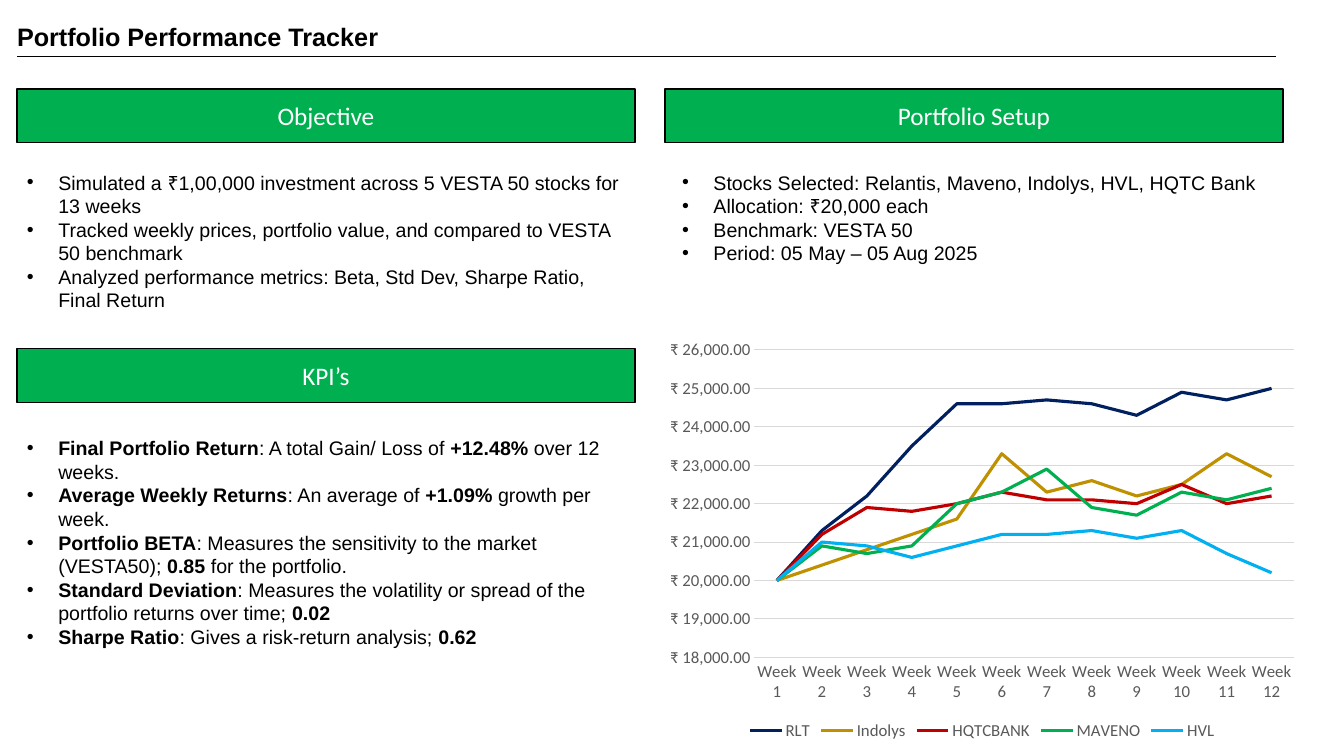
import pptx
import pptx.util
import pptx.chart.data
import pptx.dml.color
import pptx.enum.chart
import pptx.enum.shapes
import pptx.enum.text
import pptx.oxml.xmlchemy

BLACK = pptx.dml.color.RGBColor(0x00, 0x00, 0x00)
WHITE = pptx.dml.color.RGBColor(0xFF, 0xFF, 0xFF)
GREEN = pptx.dml.color.RGBColor(0x00, 0xB0, 0x50)
NAVY = pptx.dml.color.RGBColor(0x00, 0x20, 0x60)
GOLD = pptx.dml.color.RGBColor(0xBF, 0x90, 0x00)
RED = pptx.dml.color.RGBColor(0xC0, 0x00, 0x00)
SKY = pptx.dml.color.RGBColor(0x00, 0xB0, 0xF0)
GREY_TEXT = pptx.dml.color.RGBColor(0x59, 0x59, 0x59)
GREY_LINE = pptx.dml.color.RGBColor(0xD9, 0xD9, 0xD9)

LEFT, RIGHT, COLUMN_WIDTH = 0.43, 16.76, 15.57
RUPEE_FORMAT = '"₹"\\ #,##0.00'

OBJECTIVES = [
    ["Simulated a ₹1,00,000 investment across 5 VESTA 50 stocks for 13 weeks"],
    ["Tracked weekly prices, portfolio value, and compared to VESTA 50 benchmark"],
    ["Analyzed performance metrics: Beta, Std Dev, Sharpe Ratio, Final Return"],
]
SETUP = [
    ["Stocks Selected: Relantis, Maveno, Indolys, HVL, HQTC Bank"],
    ["Allocation: ₹20,000 each"],
    ["Benchmark: VESTA 50"],
    ["Period: 05 May – 05 Aug 2025"],
]
KPIS = [
    ["", "Final Portfolio Return", ": A total Gain/ Loss of ", "+12.48%", " over 12 weeks."],
    ["", "Average Weekly Returns", ": An average of ", "+1.09%", " growth per week."],
    ["", "Portfolio BETA", ": Measures the sensitivity to the market (VESTA50); ", "0.85",
     " for the portfolio."],
    ["", "Standard Deviation",
     ": Measures the volatility or spread of the portfolio returns over time; ", "0.02"],
    ["", "Sharpe Ratio", ": Gives a risk-return analysis; ", "0.62"],
]
HOLDINGS = [
    ("RLT", NAVY, [20000, 21300, 22200, 23500, 24600, 24600,
                   24700, 24600, 24300, 24900, 24700, 25000]),
    ("Indolys", GOLD, [20000, 20400, 20800, 21200, 21600, 23300,
                       22300, 22600, 22200, 22500, 23300, 22700]),
    ("HQTCBANK", RED, [20000, 21200, 21900, 21800, 22000, 22300,
                       22100, 22100, 22000, 22500, 22000, 22200]),
    ("MAVENO", GREEN, [20000, 20900, 20700, 20900, 22000, 22300,
                       22900, 21900, 21700, 22300, 22100, 22400]),
    ("HVL", SKY, [20000, 21000, 20900, 20600, 20900, 21200,
                  21200, 21300, 21100, 21300, 20700, 20200]),
]


class TrackerSlide:
    body_font = "Arial"
    accent_font = "Calibri"

    def __init__(self, slide):
        self.shapes = slide.shapes

    def box(self, *lengths):
        return [pptx.util.Cm(length) for length in lengths]

    def style(self, font, name, size, color, bold=False):
        font.name, font.size, font.bold = name, pptx.util.Pt(size), bold
        font.color.rgb = color

    def title(self, text, left, top, width, height):
        heading = self.shapes.add_textbox(*self.box(left, top, width, height))
        heading.text_frame.text = text
        self.style(heading.text_frame.paragraphs[0].runs[0].font, self.body_font, 18, BLACK, True)

    def rule(self, left, right, top):
        divider = self.shapes.add_connector(
            pptx.enum.shapes.MSO_CONNECTOR.STRAIGHT, *self.box(left, top, right, top))
        divider.line.color.rgb = BLACK
        divider.line.width = pptx.util.Pt(0.5)
        divider._element.spPr.append(pptx.oxml.xmlchemy.OxmlElement("a:effectLst"))

    def banner(self, text, left, top):
        bar = self.shapes.add_shape(pptx.enum.shapes.MSO_SHAPE.RECTANGLE,
                                    *self.box(left, top, COLUMN_WIDTH, 1.35))
        bar.shadow.inherit = False
        bar.fill.solid()
        bar.fill.fore_color.rgb = GREEN
        bar.line.color.rgb = BLACK
        bar.line.width = pptx.util.Pt(1)
        bar.text_frame.text = text
        bar.text_frame.vertical_anchor = pptx.enum.text.MSO_ANCHOR.MIDDLE
        label = bar.text_frame.paragraphs[0]
        label.alignment = pptx.enum.text.PP_ALIGN.CENTER
        self.style(label.runs[0].font, self.accent_font, 18, WHITE)

    def bullets(self, points, left, top, height):
        frame = self.shapes.add_textbox(*self.box(left, top, COLUMN_WIDTH, height)).text_frame
        frame.word_wrap = True
        indent = int(pptx.util.Cm(0.79))
        for index, pieces in enumerate(points):
            point = frame.add_paragraph() if index else frame.paragraphs[0]
            properties = point._p.get_or_add_pPr()
            properties.set("marL", str(indent))
            properties.set("indent", str(-indent))
            bullet_font = pptx.oxml.xmlchemy.OxmlElement("a:buFont")
            bullet_font.set("typeface", self.body_font)
            bullet = pptx.oxml.xmlchemy.OxmlElement("a:buChar")
            bullet.set("char", "•")
            properties.extend([bullet_font, bullet])
            for position, piece in enumerate(pieces):
                if piece:
                    run = point.add_run()
                    run.text = piece
                    self.style(run.font, self.body_font, 14, BLACK, position % 2 == 1)

    def line_chart(self, holdings, left, top, width, height):
        data = pptx.chart.data.CategoryChartData(number_format=RUPEE_FORMAT)
        data.categories = [f"Week {week}" for week in range(1, 13)]
        for name, _, values in holdings:
            data.add_series(name, values)
        chart = self.shapes.add_chart(pptx.enum.chart.XL_CHART_TYPE.LINE,
                                      *self.box(left, top, width, height), data).chart
        self.style(chart.font, self.accent_font, 12, GREY_TEXT)
        chart.has_title = False
        chart.has_legend = True
        chart.legend.position = pptx.enum.chart.XL_LEGEND_POSITION.BOTTOM
        chart.legend.include_in_layout = False
        self.style(chart.legend.font, self.accent_font, 12, GREY_TEXT)
        weeks, rupees = chart.category_axis, chart.value_axis
        for axis in (weeks, rupees):
            axis.major_tick_mark = axis.minor_tick_mark = pptx.enum.chart.XL_TICK_MARK.NONE
            self.style(axis.tick_labels.font, self.accent_font, 12, GREY_TEXT)
        rupees.minimum_scale, rupees.maximum_scale, rupees.major_unit = 18000, 26000, 1000
        rupees.tick_labels.number_format = RUPEE_FORMAT
        rupees.tick_labels.number_format_is_linked = False
        rupees.format.line.fill.background()
        for line in (weeks.format.line, rupees.major_gridlines.format.line):
            line.color.rgb = GREY_LINE
            line.width = pptx.util.Pt(0.75)
        plot = chart.plots[0]
        plot.vary_by_categories = False
        for series, (_, color, _) in zip(plot.series, holdings):
            series.smooth = False
            series.marker.style = pptx.enum.chart.XL_MARKER_STYLE.NONE
            series.format.line.color.rgb = color
            series.format.line.width = pptx.util.Pt(2.25)


def main():
    deck = pptx.Presentation()
    deck.slide_width, deck.slide_height = pptx.util.Cm(33.87), pptx.util.Cm(19.05)
    tracker = TrackerSlide(deck.slides.add_slide(deck.slide_layouts[6]))
    tracker.line_chart(HOLDINGS, 16.56, 8.36, 16.38, 10.41)
    tracker.title("Portfolio Performance Tracker", 0.18, 0.41, 9.91, 1.02)
    tracker.rule(LEFT, 32.16, 1.42)
    tracker.banner("Objective", LEFT, 2.24)
    tracker.bullets(OBJECTIVES, LEFT, 4.17, 3.84)
    tracker.banner("Portfolio Setup", RIGHT, 2.24)
    tracker.bullets(SETUP, 16.94, 4.17, 3.84)
    tracker.banner("KPI’s", LEFT, 8.79)
    tracker.bullets(KPIS, LEFT, 10.87, 5.64)
    deck.save("out.pptx")


if __name__ == "__main__":
    main()
